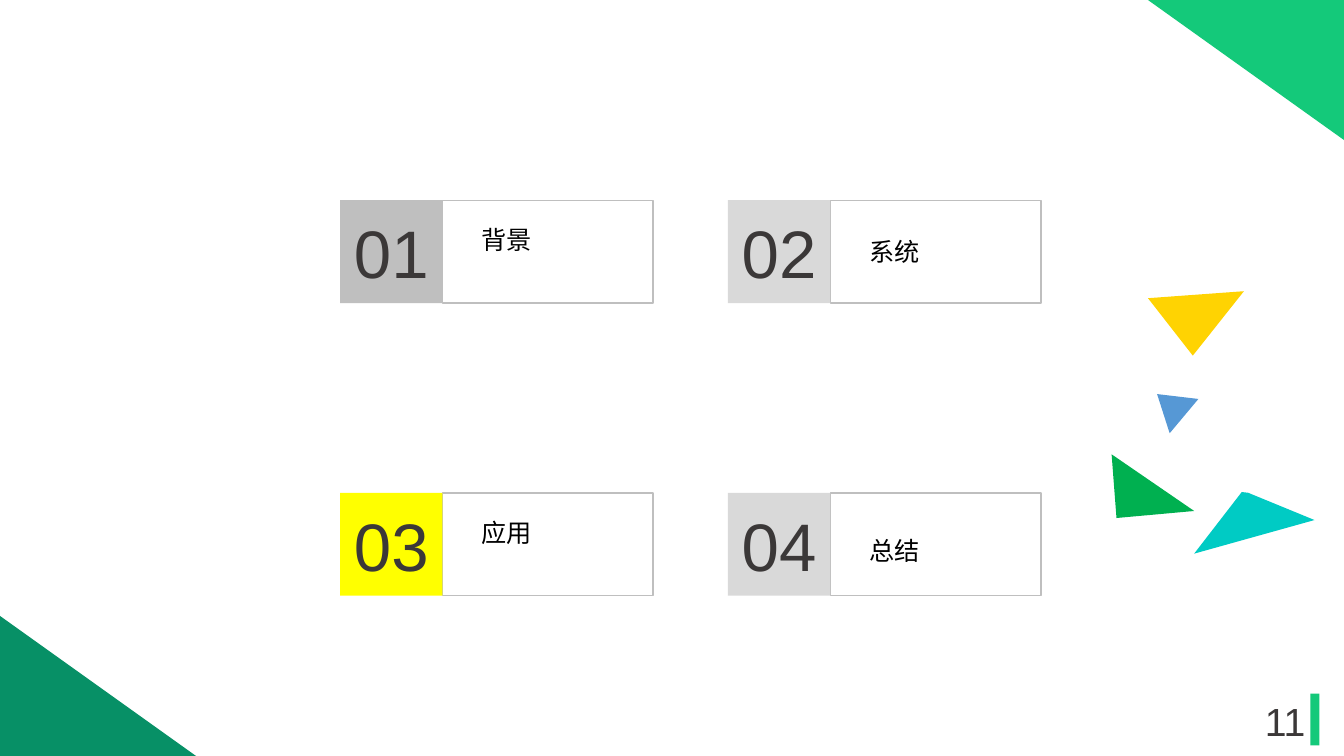
"""Build the agenda slide with four numbered cards and triangle accents."""
from dataclasses import dataclass

from pptx import Presentation
from pptx.dml.color import RGBColor
from pptx.enum.shapes import MSO_SHAPE
from pptx.enum.text import MSO_ANCHOR, PP_ALIGN
from pptx.util import Pt

RECT = MSO_SHAPE.RECTANGLE
CORNER = MSO_SHAPE.RIGHT_TRIANGLE
MIDDLE, TOP = MSO_ANCHOR.MIDDLE, MSO_ANCHOR.TOP
CENTER, LEFT = PP_ALIGN.CENTER, PP_ALIGN.LEFT


@dataclass(frozen=True)
class Theme:
    font: str = "Arial"
    number_size: int = 48
    page_size: int = 28
    label_size: int = 18
    ink: str = "3B3838"
    black: str = "000000"
    border: str = "BFBFBF"
    visited: str = "BFBFBF"
    idle: str = "D9D9D9"
    current: str = "FFFF00"
    green: str = "14C97A"
    dark_green: str = "079066"
    yellow: str = "FFD302"
    blue: str = "5698D5"
    leaf: str = "00B050"
    teal: str = "00CBC4"


def write(sp, text, font, size, color, align=LEFT, anchor=TOP):
    tf = sp.text_frame
    tf.word_wrap = True
    tf.vertical_anchor = anchor
    p = tf.paragraphs[0]
    p.alignment = align
    r = p.add_run()
    r.text = text
    r.font.name = font
    r.font.size = Pt(size)
    r.font.color.rgb = RGBColor.from_string(color)


class Deck:
    def __init__(self, theme):
        self.theme = theme
        self.prs = Presentation()
        self.prs.slide_width, self.prs.slide_height = Pt(960), Pt(540)
        self.s = self.prs.slides.add_slide(self.prs.slide_layouts[6])

    def paint(self, sp, fill=None, line=None):
        sp.shadow.inherit = False
        if fill:
            sp.fill.solid()
            sp.fill.fore_color.rgb = RGBColor.from_string(fill)
        else:
            sp.fill.background()
        if line:
            sp.line.color.rgb = RGBColor.from_string(line)
            sp.line.width = Pt(1)
        else:
            sp.line.fill.background()
        return sp

    def shape(self, kind, box, fill=None, line=None, parent=None):
        shapes = (parent or self.s).shapes
        return self.paint(shapes.add_shape(kind, *map(Pt, box)), fill, line)

    def text(self, text, box, size, color, parent=None, **fmt):
        sp = (parent or self.s).shapes.add_textbox(*map(Pt, box))
        write(sp, text, self.theme.font, size, color, **fmt)

    def card(self, number, label, x, y, fill, drop):
        t = self.theme
        group = self.s.shapes.add_group_shape()
        self.shape(RECT, (x + 73, y, 150.5, 73.5), line=t.border, parent=group)
        badge = self.shape(RECT, (x, y, 73, 73.5), fill, parent=group)
        write(badge, number, t.font, t.number_size, t.ink,
              align=CENTER, anchor=MIDDLE)
        self.text(label, (x + 94, y + drop, 109, 29), t.label_size, t.black,
                  parent=group)

    def polygon(self, points, fill):
        first, *rest = [(Pt(x), Pt(y)) for x, y in points]
        builder = self.s.shapes.build_freeform(*first, scale=1.0)
        builder.add_line_segments(rest, close=True)
        self.paint(builder.convert_to_shape(), fill)


def main():
    t = Theme()
    deck = Deck(t)
    deck.shape(RECT, (936, 495.5, 6.5, 37), t.green)

    cards = [("背景", t.visited, 14), ("系统", t.idle, 22),
             ("应用", t.current, 14), ("总结", t.idle, 26.5)]
    for i, (label, fill, drop) in enumerate(cards):
        row, col = divmod(i, 2)
        deck.card(f"{i + 1:02}", label, 243 + 277 * col, 143 + 209 * row,
                  fill, drop)

    deck.text("11", (890.5, 500.5, 55, 29), t.page_size, t.ink,
              align=CENTER, anchor=MIDDLE)
    deck.shape(CORNER, (0, 440, 140, 100), t.dark_green)
    deck.shape(CORNER, (820, 0, 140, 100), t.green).rotation = 180

    accents = [
        (t.yellow, [(820, 213), (888.5, 208), (852, 254)]),
        (t.blue, [(826.5, 281.5), (856, 285), (835.5, 309.5)]),
        (t.leaf, [(794, 324.5), (797.5, 370), (853, 365)]),
        (t.teal, [(887, 351.5), (853, 395.5), (939, 371.5), (891.5, 352)]),
    ]
    for fill, points in accents:
        deck.polygon(points, fill)
    deck.prs.save("out.pptx")


if __name__ == "__main__":
    main()
